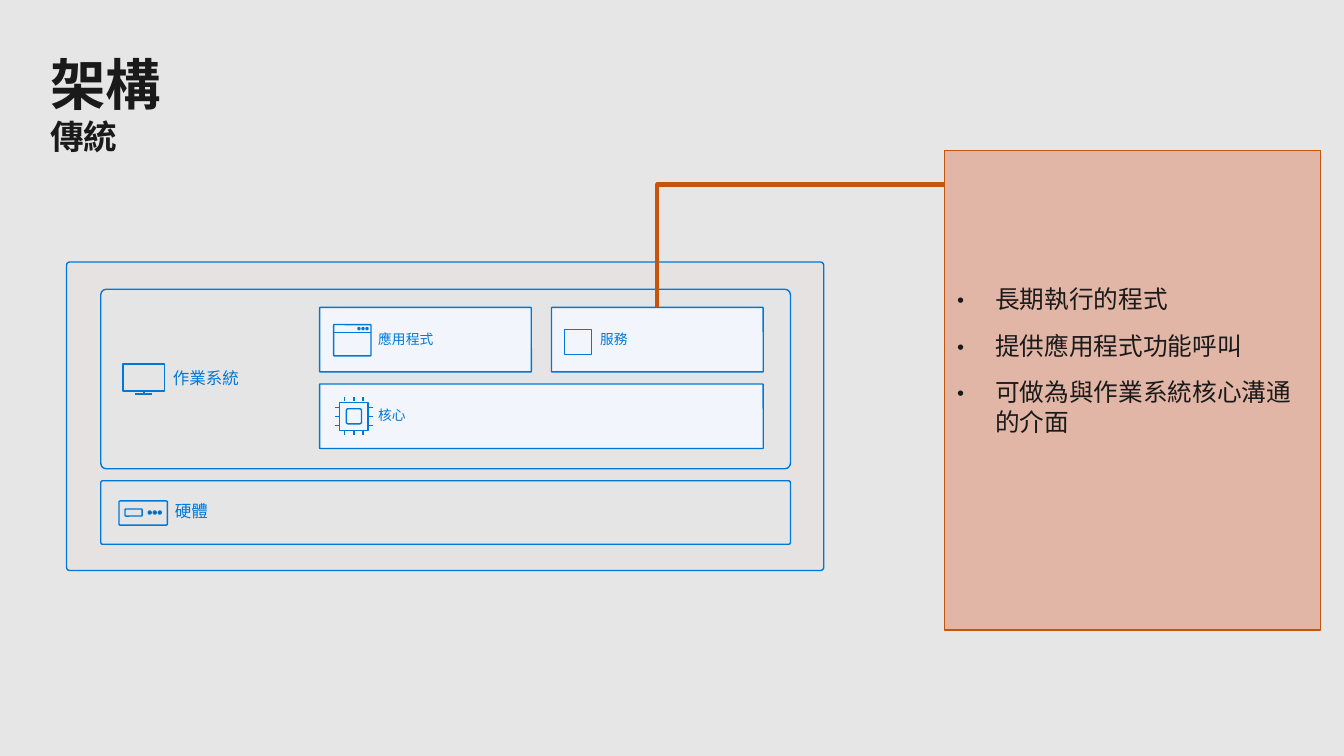
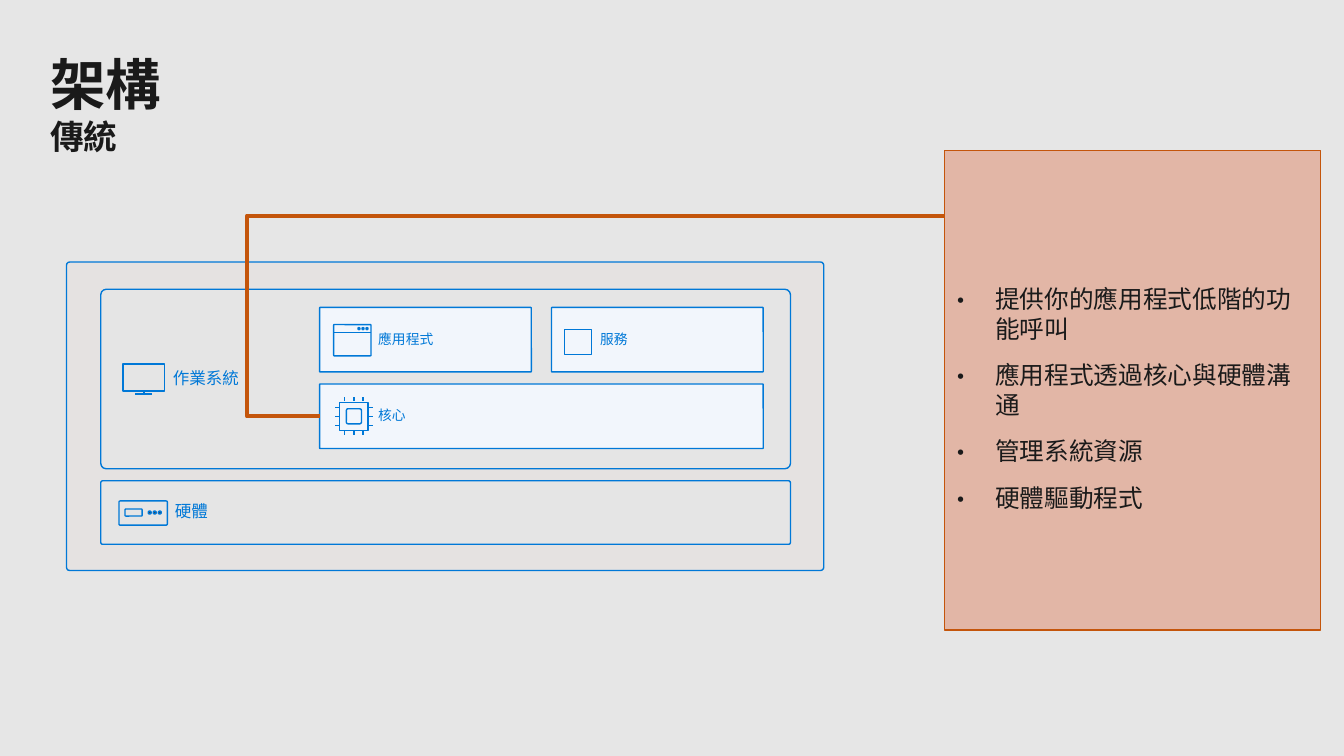
"""Build two slides that explain services and the kernel in a traditional architecture."""
import dataclasses

import pptx
import pptx.dml.color
import pptx.enum.shapes
import pptx.enum.text
import pptx.oxml.ns
import pptx.util


@dataclasses.dataclass(frozen=True)
class Theme:
    font: str = "Cabin"
    background: str = "E6E6E6"
    ink: str = "1A1A1A"
    blue: str = "0078D7"
    layer: str = "E5E5E5"
    block: str = "F2F6FC"
    dot: str = "414142"
    tint: str = "D83B01"
    accent: str = "C4550B"
    title_size: float = 39.6
    subtitle_size: float = 24
    bullet_size: float = 17.6
    layer_size: float = 11.8
    block_size: float = 9.8
    thin: float = 1
    panel_line: float = 0.85
    callout_line: float = 3


theme = Theme()
color = pptx.dml.color.RGBColor.from_string
qn = pptx.oxml.ns.qn
RECTANGLE = pptx.enum.shapes.MSO_SHAPE.RECTANGLE
ROUNDED = pptx.enum.shapes.MSO_SHAPE.ROUNDED_RECTANGLE
OVAL = pptx.enum.shapes.MSO_SHAPE.OVAL
STRAIGHT = pptx.enum.shapes.MSO_CONNECTOR.STRAIGHT
ELBOW = pptx.enum.shapes.MSO_CONNECTOR.ELBOW
TOP = pptx.enum.text.MSO_ANCHOR.TOP
MIDDLE = pptx.enum.text.MSO_ANCHOR.MIDDLE

presentation = pptx.Presentation()
presentation.slide_width = pptx.util.Inches(13.33)
presentation.slide_height = pptx.util.Inches(7.5)
column = presentation.slide_width / 13.33
row = presentation.slide_height / 7.5
background = presentation.slide_master.background.fill
background.solid()
background.fore_color.rgb = color(theme.background)


def add_box(slide, geometry, area, fill=None, opacity=100, corner=None, line=theme.blue, weight=theme.thin):
    left, top, width, height = area
    shape = slide.shapes.add_shape(
        geometry, round(left * column), round(top * row), round(width * column), round(height * row))
    shape.shadow.inherit = False
    shape.line.color.rgb = color(line)
    shape.line.width = pptx.util.Pt(weight)
    if corner is not None:
        shape.adjustments[0] = corner
    if fill is None:
        shape.fill.background()
    else:
        shape.fill.solid()
        shape.fill.fore_color.rgb = color(fill)
        fill_color = shape._element.spPr.find(qn("a:solidFill"))[0]
        fill_color.append(fill_color.makeelement(qn("a:alpha"), {"val": str(opacity * 1000)}))
    return shape


def set_text(shape, lines, size, ink, insets=(0, 0, 0, 0), anchor=TOP, bold=False, tracking=0, leading=1):
    left, top, right, bottom = insets
    frame = shape.text_frame
    frame.word_wrap = True
    frame.auto_size = pptx.enum.text.MSO_AUTO_SIZE.NONE
    frame.vertical_anchor = anchor
    frame.margin_left, frame.margin_right = round(left * column), round(right * column)
    frame.margin_top, frame.margin_bottom = round(top * row), round(bottom * row)
    frame.text = "\n".join(lines)
    for paragraph in frame.paragraphs:
        paragraph.alignment = pptx.enum.text.PP_ALIGN.LEFT
        paragraph.line_spacing = leading
        for run in paragraph.runs:
            run.font.name = theme.font
            run.font.size = pptx.util.Pt(size)
            run.font.bold = bold
            run.font.color.rgb = color(ink)
            properties = run._r.get_or_add_rPr()
            properties.set("spc", str(round(tracking * 100)))
            latin = properties.find(qn("a:latin"))
            latin.addnext(latin.makeelement(qn("a:ea"), {"typeface": theme.font}))


margin, content_width = 0.5, 12.33
title_top, title_height, subtitle_height = 0.5, 0.65, 0.4

gap = 0.12
machine_area = (0.66, 2.6, 7.51, 3.06)
layer_left, layer_width = 1, 6.84
system_top, system_height = 2.87, 1.78
hardware_top, hardware_height = system_top + system_height + gap, 0.63

block_width, block_height, block_gap = 2.1, 0.64, 0.2
app_left, app_top = 3.17, 3.05
service_left = app_left + block_width + block_gap
kernel_top = app_top + block_height + gap
kernel_width = 2 * block_width + block_gap

panel_left, panel_top, panel_width, panel_height = 9.37, 1.49, 3.73, 4.76
bullet_insets, bullet_indent, bullet_gap = (0.12, 1.33, 0.14, 0), 0.38, 6

layer_style = (theme.layer, 0.03, theme.layer_size)
block_style = (theme.block, 0.01, theme.block_size)
labelled_boxes = [
    ("作業系統", (layer_left, system_top, layer_width, system_height), 0.7, layer_style),
    ("硬體", (layer_left, hardware_top, layer_width, hardware_height), 0.73, layer_style),
    ("應用程式", (app_left, app_top, block_width, block_height), 0.58, block_style),
    ("服務", (service_left, app_top, block_width, block_height), 0.48, block_style),
    ("核心", (app_left, kernel_top, kernel_width, block_height), 0.58, block_style),
]

screen = (1.22, 3.61, 0.41, 0.27)
stand_center, stand_top, stand_bottom = 1.43, 3.88, 3.91
server, server_slot = (1.18, 4.97, 0.48, 0.24), (1.24, 5.05, 0.17, 0.07)
window_left, window_top, window_width, window_height = 3.31, 3.22, 0.37, 0.31
title_bar_bottom = window_top + 0.08
service_mark = (5.6, 3.27, 0.27, 0.25)
chip_x, chip_y = 3.51, 4.13
chip_body, chip_core = 0.28, 0.15
pin_pitch, pin_start, pin_end = 0.09, 0.15, 0.19

icon_boxes = [
    (RECTANGLE, screen, None),
    (ROUNDED, server, 0.05),
    (ROUNDED, server_slot, 0.12),
    (ROUNDED, (window_left, window_top, window_width, window_height), 0.02),
    (RECTANGLE, service_mark, None),
    (RECTANGLE, (chip_x - chip_body / 2, chip_y - chip_body / 2, chip_body, chip_body), None),
    (ROUNDED, (chip_x - chip_core / 2, chip_y - chip_core / 2, chip_core, chip_core), 0.12),
]
dot_rows = [(3.55, 3.25, 0.02, 0.04), (1.47, 5.07, 0.03, 0.05)]
icon_lines = [
    (stand_center - 0.09, stand_bottom, stand_center + 0.08, stand_bottom),
    (stand_center, stand_top, stand_center, stand_bottom),
    (window_left, title_bar_bottom, window_left + window_width, title_bar_bottom),
]
for offset in (-pin_pitch, 0, pin_pitch):
    for side in (-1, 1):
        start, end = side * pin_start, side * pin_end
        icon_lines.append((chip_x + offset, chip_y + start, chip_x + offset, chip_y + end))
        icon_lines.append((chip_x + start, chip_y + offset, chip_x + end, chip_y + offset))

service_callout = (panel_left, 1.83, service_left + block_width / 2, app_top)
kernel_callout = (panel_left, 2.14, app_left, kernel_top + block_height / 2)
kernel_bend = 2.45
kernel_bend_share = (panel_left - kernel_bend) / (panel_left - app_left)
topics = [
    (service_callout, "bentConnector2", {},
     ["長期執行的程式", "提供應用程式功能呼叫", "可做為與作業系統核心溝通的介面"]),
    (kernel_callout, "bentConnector3", {"name": "adj1", "fmla": f"val {round(kernel_bend_share * 100000)}"},
     ["提供你的應用程式低階的功能呼叫", "應用程式透過核心與硬體溝通", "管理系統資源", "硬體驅動程式"]),
]

for callout, bend, bend_guide, bullets in topics:
    slide = presentation.slides.add_slide(presentation.slide_layouts.get_by_name("Title Only"))
    title = slide.shapes.title
    title.left, title.top = round(margin * column), round(title_top * row)
    title.width, title.height = round(content_width * column), round(title_height * row)
    set_text(title, ["架構"], theme.title_size, theme.ink, bold=True, tracking=-0.5)
    subtitle = slide.shapes.add_textbox(
        title.left, title.top + title.height, title.width, round(subtitle_height * row))
    set_text(subtitle, ["傳統"], theme.subtitle_size, theme.ink, bold=True, tracking=-0.6)

    add_box(slide, ROUNDED, machine_area, theme.tint, opacity=2, corner=0.01)
    for label, area, label_inset, (fill, corner, size) in labelled_boxes:
        box = add_box(slide, ROUNDED, area, fill, corner=corner)
        set_text(box, [label], size, theme.blue, (label_inset, 0.16, 0.1, 0.16), MIDDLE, leading=0.9)

    for geometry, area, corner in icon_boxes:
        add_box(slide, geometry, area, corner=corner)
    for left, top, diameter, pitch in dot_rows:
        for index in range(3):
            add_box(slide, OVAL, (left + index * pitch, top, diameter, diameter), theme.dot)

    lines = [(STRAIGHT, ends, theme.blue, theme.thin) for ends in icon_lines]
    lines.append((ELBOW, callout, theme.accent, theme.callout_line))
    for kind, (begin_x, begin_y, end_x, end_y), ink, weight in lines:
        connector = slide.shapes.add_connector(
            kind, round(begin_x * column), round(begin_y * row), round(end_x * column), round(end_y * row))
        connector.line.color.rgb = color(ink)
        connector.line.width = pptx.util.Pt(weight)
        properties = connector._element.spPr
        properties.append(properties.makeelement(qn("a:effectLst"), {}))
        if kind == ELBOW:
            geometry = properties.find(qn("a:prstGeom"))
            geometry.set("prst", bend)
            if bend_guide:
                guides = geometry.find(qn("a:avLst"))
                guides.append(guides.makeelement(qn("a:gd"), bend_guide))

    panel = add_box(slide, RECTANGLE, (panel_left, panel_top, panel_width, panel_height), theme.tint,
                    opacity=28, line=theme.accent, weight=theme.panel_line)
    set_text(panel, bullets, theme.bullet_size, theme.ink, bullet_insets)
    for index, paragraph in enumerate(panel.text_frame.paragraphs):
        properties = paragraph._p.get_or_add_pPr()
        properties.set("marL", str(round(bullet_indent * column)))
        properties.set("indent", str(round(-bullet_indent * column)))
        properties.append(properties.makeelement(qn("a:buFont"), {"typeface": theme.font}))
        properties.append(properties.makeelement(qn("a:buChar"), {"char": "•"}))
        paragraph.space_before = pptx.util.Pt(bullet_gap if index else 0)
        paragraph.space_after = pptx.util.Pt(bullet_gap)

presentation.save("out.pptx")
